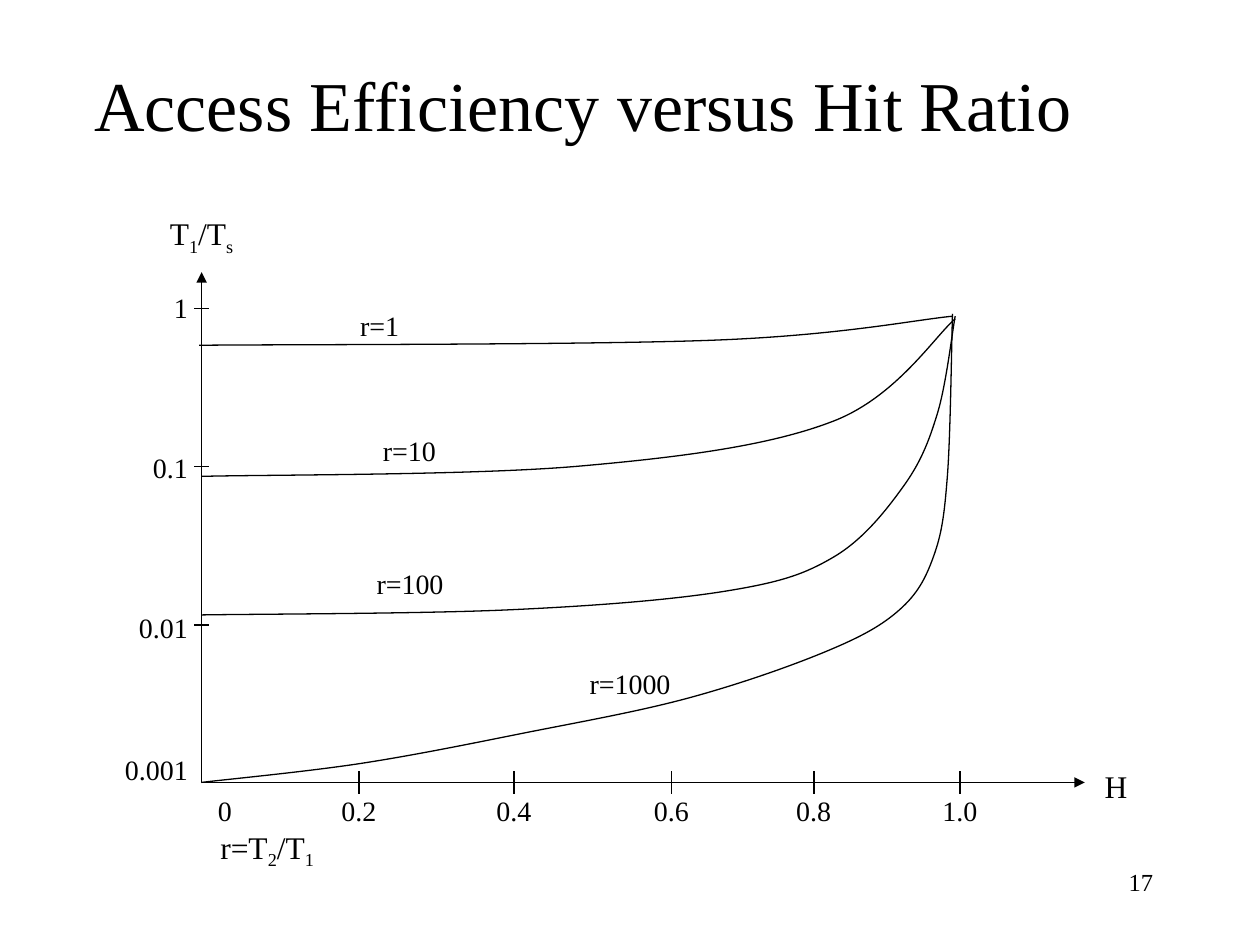
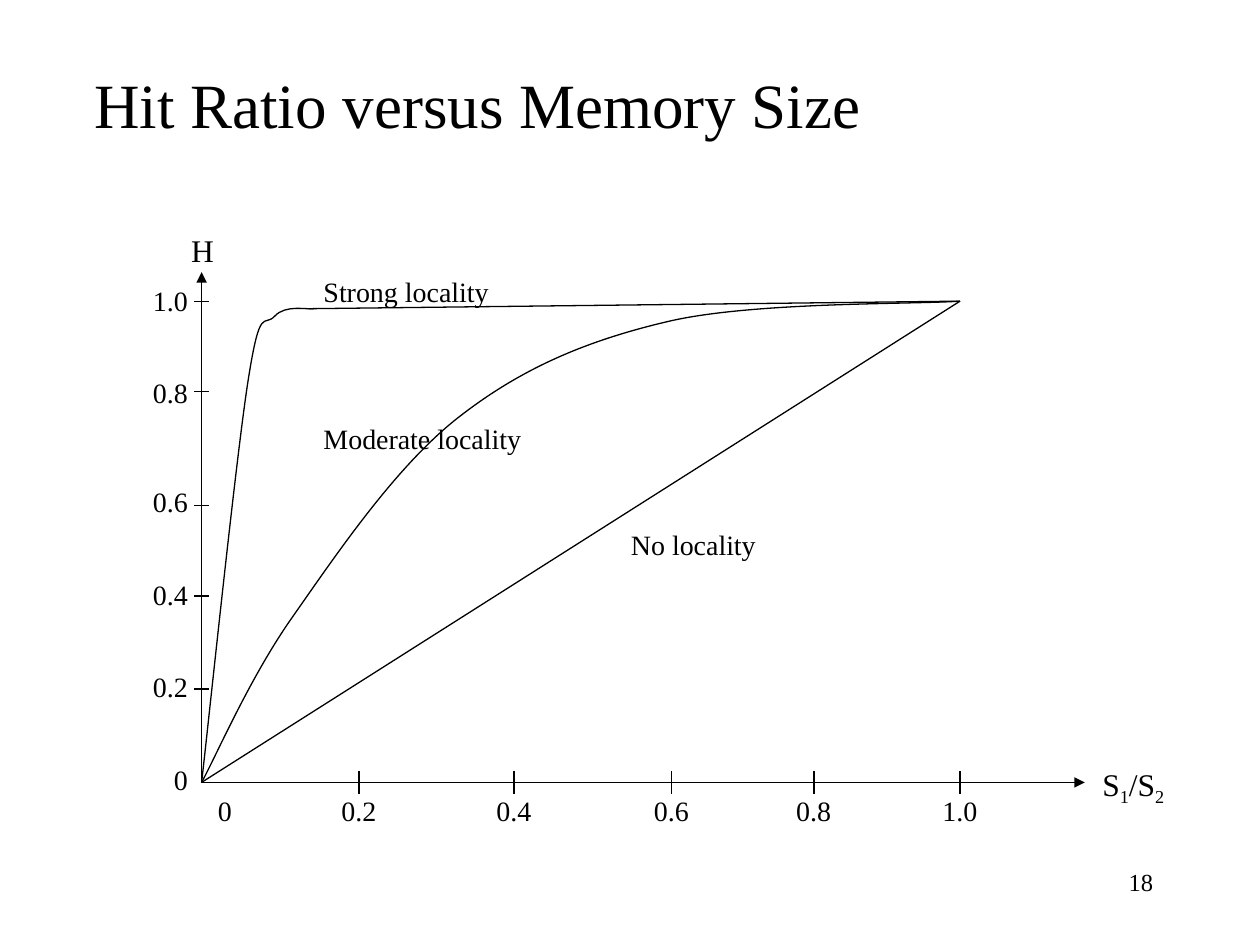
from lxml import etree
from pptx import Presentation
from pptx.dml.color import RGBColor
from pptx.enum.shapes import MSO_CONNECTOR
from pptx.enum.text import MSO_ANCHOR, PP_ALIGN
from pptx.oxml.ns import qn
from pptx.util import Pt

LEFT, RIGHT = PP_ALIGN.LEFT, PP_ALIGN.RIGHT
TOP, MIDDLE = MSO_ANCHOR.TOP, MSO_ANCHOR.MIDDLE
STRAIGHT = MSO_CONNECTOR.STRAIGHT

# Shared style, lengths in points
FONT, INK, PAPER = "Times New Roman", "000000", "FFFFFF"
LINE_WIDTH, LINE_HEIGHT, INSET = 0.74, 1.2, 7.2
LABEL_SIZE, NOTE_SIZE, NUMBER_SIZE = 16, 18, 14
TITLE_BOX = (46.8, 20.9, 577.4, 76.3)
NUMBER_BOX = (516.2, 491.8, 149.8, 36)
X_LABEL_BOX = (117.4, 450, 449.3, 26.6)
Y_LABEL_LEFT, Y_LABEL_WIDTH = 64, 50.4
ORIGIN = (115.2, 447.1)
AXIS_TOP, AXIS_END = 155.5, 619.9
X_TICKS = [205.2, 293.8, 383.8, 465.1, 548.6]
X_LABELS = ["0", "0.2", "0.4", "0.6", "0.8", "1.0"]
X_TICK_HALF, Y_TICK_HALF = 6.4, 4.3
CORNER = (548.6, 172.1)

# Curves: the points that each passes through.
# Notes: left, top and spans, every second span a subscript.
# Y gaps: the space above each label after the first.
PAGES = [
    dict(
        title="Access Efficiency versus Hit Ratio", title_size=40, number="17",
        y_ticks=[176.4, 266.7, 357.1],
        y_label_top=162.7,
        y_labels=["1", "0.1", "0.01", "0.001"], y_gaps=[72, 72, 62.4],
        notes=[(90, 121.7, ["T", "1", "/T", "s"]),
               (624.2, 434.9, ["H"]),
               (118.8, 472.3, ["r=T", "2", "/T", "1"])],
        curve_names=[(198.7, 172.8, "r=1"), (211.7, 244.1, "r=10"),
                     (208.1, 320.4, "r=100"), (329.8, 377.3, "r=1000")],
        curves=[
            [ORIGIN, (206, 436.3), (299, 419), (393, 399), (472.3, 372.2),
             (514, 348.5), (533.5, 318), (541.4, 272), (544.3, 179.3)],
            [(115.2, 351.4), (291, 348.5), (415.4, 337.7), (476.6, 318.2),
             (516.2, 278), (535.7, 236.2), (545.8, 180.7)],
            [(115.2, 272.2), (330.5, 266.4), (476.6, 240.5), (545.8, 182.2)],
            [(113.8, 197.3), (408.2, 194.4), (544.3, 180.7)],
        ],
        lines=[],
    ),
    dict(
        title="Hit Ratio versus Memory Size", title_size=36, number="18",
        y_ticks=[172.1, 223.9, 288.7, 340.6, 393.8],
        y_label_top=158.4,
        y_labels=X_LABELS[::-1], y_gaps=[33.6, 43.2, 33.6, 33.6, 33.6],
        notes=[(102.2, 128.2, ["H"]), (622.8, 436.3, ["S", "1", "/S", "2"])],
        curve_names=[(177.8, 153.4, "Strong locality"),
                     (177.8, 237.6, "Moderate locality"),
                     (353.5, 298.1, "No locality")],
        curves=[
            [ORIGIN, (167, 352.8), (261.4, 239), (382.3, 183.6), CORNER],
            [ORIGIN, (141.8, 217.4), (157, 180.7), (179.3, 176.4)],
        ],
        lines=[(ORIGIN, CORNER), ((176.4, 176.4), CORNER)],
    ),
]


def color(value):
    return RGBColor.from_string(value)


def write(box, paragraphs, size=LABEL_SIZE, align=LEFT, anchor=TOP):
    """Fill a box with (spans, space above) pairs; odd spans are subscripts."""
    frame = box.text_frame
    frame.word_wrap, frame.vertical_anchor = True, anchor
    for index, (spans, space) in enumerate(paragraphs):
        para = frame.add_paragraph() if index else frame.paragraphs[0]
        para.alignment = align
        para.line_spacing = Pt(size * LINE_HEIGHT)
        para.space_before = Pt(space)
        for position, text in enumerate(spans):
            span = para.add_run()
            span.text = text
            span.font.name, span.font.size = FONT, Pt(size)
            span.font.color.rgb = color(INK)
            if position % 2:
                span.font._element.set("baseline", "-25000")
    return box


def add_text(page, place, paragraphs, **style):
    box = page.shapes.add_textbox(*map(Pt, place))
    return write(box, paragraphs, **style)


def add_note(page, left, top, spans, size):
    """Add one line in a box that is sized to its text."""
    width = 22 + 0.42 * size * len("".join(spans))
    height = INSET + size * LINE_HEIGHT
    add_text(page, (left, top, width, height), [(spans, 0)], size=size)


def ink_line(shape):
    shape.line.color.rgb = color(INK)
    shape.line.width = Pt(LINE_WIDTH)


def add_line(page, start, end):
    line = page.shapes.add_connector(STRAIGHT, *map(Pt, (*start, *end)))
    ink_line(line)
    etree.SubElement(line._element.spPr, qn("a:effectLst"))


def add_outline(page, points):
    start, *rest = [(Pt(x), Pt(y)) for x, y in points]
    builder = page.shapes.build_freeform(*start, scale=1.0)
    builder.add_line_segments(rest, close=False)
    shape = builder.convert_to_shape()
    shape.shadow.inherit = False
    shape.fill.background()
    ink_line(shape)
    return shape


def bezier_points(points):
    """Smooth the points: each tangent follows the line between neighbours."""
    padded = [points[0], *points, points[-1]]
    tangents = [((after[0] - before[0]) / 6, (after[1] - before[1]) / 6)
                for before, after in zip(padded, padded[2:])]
    result = [points[0]]
    for index, end in enumerate(points[1:]):
        start, out, into = points[index], tangents[index], tangents[index + 1]
        result += [(start[0] + out[0], start[1] + out[1]),
                   (end[0] - into[0], end[1] - into[1]), end]
    return result


def add_curve(page, points):
    """Draw the outline, then join each three points into one Bezier segment."""
    shape = add_outline(page, bezier_points(points))
    outline = next(shape._element.iter(qn("a:path")))
    steps = outline.findall(qn("a:lnTo"))
    for first in range(0, len(steps), 3):
        bezier = etree.SubElement(outline, qn("a:cubicBezTo"))
        for step in steps[first:first + 3]:
            bezier.append(step[0])
            outline.remove(step)


def add_axes(page, y_ticks):
    x, y = ORIGIN
    axes = add_outline(page, [(x, AXIS_TOP), ORIGIN, (AXIS_END, y)])
    line = axes._element.spPr.find(qn("a:ln"))
    for end in ("a:headEnd", "a:tailEnd"):
        etree.SubElement(line, qn(end), type="triangle")
    for tick in y_ticks:
        add_line(page, (x - Y_TICK_HALF, tick), (x + Y_TICK_HALF, tick))
    for tick in X_TICKS:
        add_line(page, (tick, y - X_TICK_HALF), (tick, y + X_TICK_HALF))


def add_x_labels(page):
    """One row of labels, each centred under its tick by a tab stop."""
    box = add_text(page, X_LABEL_BOX, [(["\t".join(X_LABELS)], 0)])
    properties = box.text_frame.paragraphs[0]._p.get_or_add_pPr()
    stops = etree.SubElement(properties, qn("a:tabLst"))
    for tick in X_TICKS:
        offset = Pt(tick - X_LABEL_BOX[0] - INSET)
        etree.SubElement(stops, qn("a:tab"), pos=str(int(offset)), algn="ctr")


def add_y_labels(page, top, labels, gaps):
    """One right-aligned column of labels, set apart by paragraph spacing."""
    height = INSET + sum(gaps) + len(labels) * LABEL_SIZE * LINE_HEIGHT
    paragraphs = [([text], gap) for text, gap in zip(labels, [0, *gaps])]
    add_text(page, (Y_LABEL_LEFT, top, Y_LABEL_WIDTH, height), paragraphs,
             align=RIGHT)


def add_page(deck, content):
    page = deck.slides.add_slide(deck.slide_layouts[5])
    page.background.fill.solid()
    page.background.fill.fore_color.rgb = color(PAPER)

    # Title and page number
    title = page.shapes.title
    title.left, title.top, title.width, title.height = map(Pt, TITLE_BOX)
    write(title, [([content["title"]], 0)], size=content["title_size"],
          anchor=MIDDLE)
    add_text(page, NUMBER_BOX, [([content["number"]], 0)], size=NUMBER_SIZE,
             align=RIGHT)

    # Axes and their labels
    add_axes(page, content["y_ticks"])
    add_x_labels(page)
    add_y_labels(page, content["y_label_top"], content["y_labels"],
                 content["y_gaps"])
    for left, top, spans in content["notes"]:
        add_note(page, left, top, spans, NOTE_SIZE)

    # Curves and their names
    for points in content["curves"]:
        add_curve(page, points)
    for start, end in content["lines"]:
        add_line(page, start, end)
    for left, top, name in content["curve_names"]:
        add_note(page, left, top, [name], LABEL_SIZE)


deck = Presentation()
deck.slide_width, deck.slide_height = Pt(720), Pt(540)
for content in PAGES:
    add_page(deck, content)
deck.save("out.pptx")
